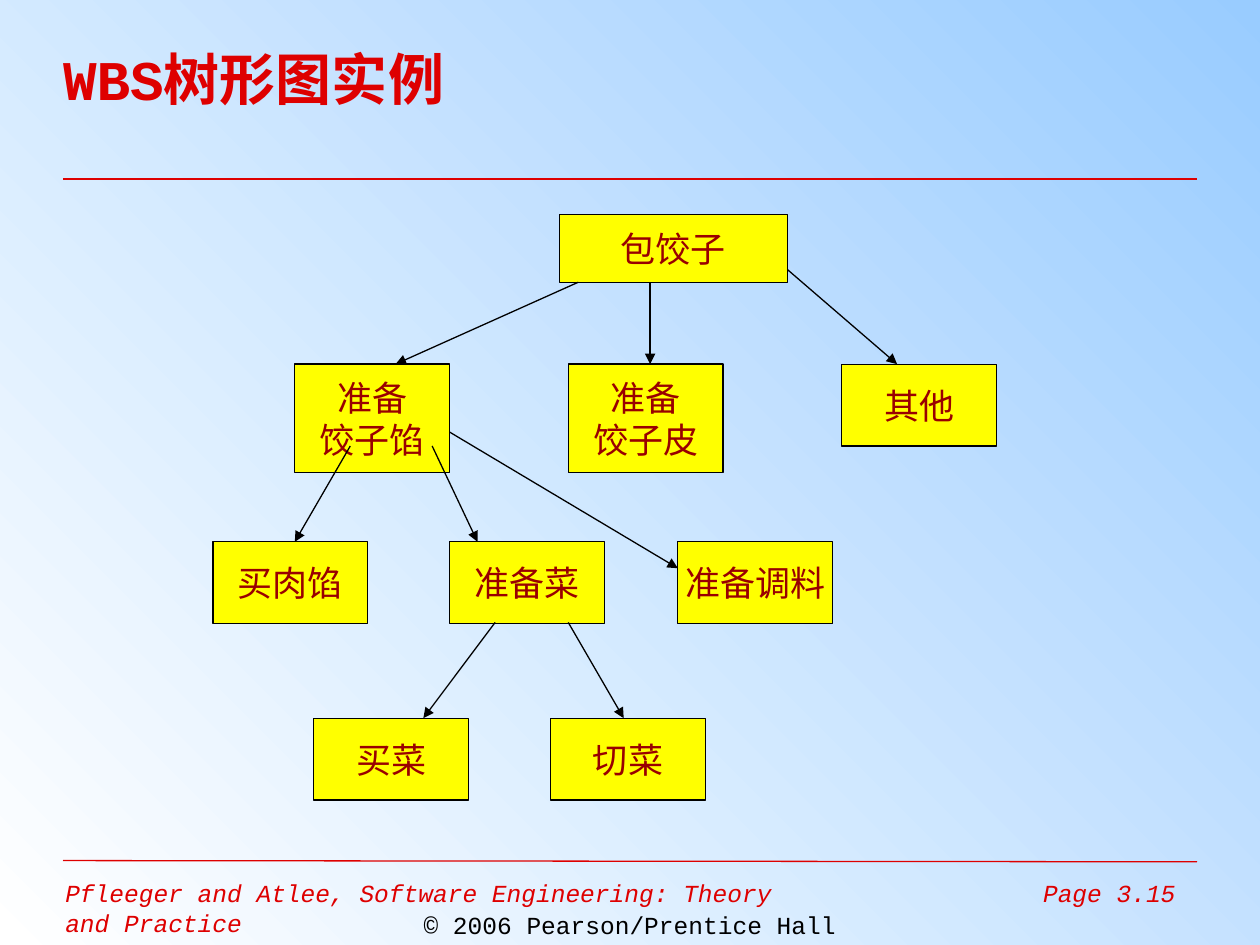
from pptx import Presentation
from pptx import util as u
from pptx.dml.color import RGBColor
from pptx.enum import shapes, text
from pptx.oxml.ns import qn
from lxml import etree

I = u.Inches
RED, BLACK = "DE0000", "000000"
MONO = "Courier New"


def paint(fmt, hue):
    if hasattr(fmt, "solid"):
        fmt.solid()
        fmt.fore_color.rgb = RGBColor.from_string(hue)
    else:
        fmt.rgb = RGBColor.from_string(hue)


def write(para, words, size, face, hue, side, bold=False, slant=False):
    para.alignment = side
    run = para.add_run()
    run.text = words
    font = run.font
    font.size, font.name = u.Pt(size), face
    font.bold, font.italic = bold, slant
    paint(font.color, hue)


LEFT, MID, RIGHT = text.PP_ALIGN.LEFT, text.PP_ALIGN.CENTER, text.PP_ALIGN.RIGHT

deck = Presentation()
deck.slide_width, deck.slide_height = I(10), I(7.5)
slide = deck.slides.add_slide(deck.slide_layouts[5])

back = slide.background.fill
back.gradient()
back.gradient_angle = 225
for stop, place, hue in zip(back.gradient_stops, (0, 1), ("99CCFF", "FFFFFF")):
    stop.position = place
    paint(stop.color, hue)

title = slide.shapes.title
title.left, title.top, title.width, title.height = I(0.5), I(0), I(9), I(1.24)
frame = title.text_frame
frame.margin_left = frame.margin_top = frame.margin_right = frame.margin_bottom = 0
frame.vertical_anchor = text.MSO_ANCHOR.MIDDLE
frame.auto_size = text.MSO_AUTO_SIZE.NONE
write(frame.paragraphs[0], "WBS树形图实例", 32, MONO, RED, LEFT, bold=True)

notes = [
    (0.42, 6.92, 6, 0.58, "Pfleeger and Atlee, Software Engineering: Theory and Practice", RED, LEFT, True),
    (7.83, 6.92, 1.6, 0.33, "Page 3.15", RED, RIGHT, True),
    (0, 7.17, 10, 0.33, "© 2006 Pearson/Prentice Hall", BLACK, MID, False),
]
for x, y, w, h, words, hue, side, slant in notes:
    frame = slide.shapes.add_textbox(I(x), I(y), I(w), I(h)).text_frame
    frame.word_wrap = True
    write(frame.paragraphs[0], words, 14, MONO, hue, side, slant=slant)

WIDE, LOW, TALL = 1.23, 0.65, 0.86
TOP, ROW1, ROW2, ROW3 = 1.7, 2.89, 4.3, 5.7
boxes = [
    (4.44, TOP, 1.81, 0.54, ["包饺子"]),
    (2.34, ROW1, WIDE, TALL, ["准备", "饺子馅"]),
    (4.51, ROW1, WIDE, TALL, ["准备", "饺子皮"]),
    (6.68, ROW1, WIDE, LOW, ["其他"]),
    (1.69, ROW2, WIDE, LOW, ["买肉馅"]),
    (3.57, ROW2, WIDE, LOW, ["准备菜"]),
    (5.38, ROW2, WIDE, LOW, ["准备调料"]),
    (2.49, ROW3, WIDE, LOW, ["买菜"]),
    (4.37, ROW3, WIDE, LOW, ["切菜"]),
]
for x, y, w, h, rows in boxes:
    box = slide.shapes.add_shape(shapes.MSO_SHAPE.RECTANGLE, I(x), I(y), I(w), I(h))
    box.shadow.inherit = False
    paint(box.fill, "FFFF00")
    paint(box.line.fill, BLACK)
    box.line.width = u.Pt(0.75)
    frame = box.text_frame
    frame.word_wrap = False
    frame.vertical_anchor = text.MSO_ANCHOR.MIDDLE
    for i, row in enumerate(rows):
        para = frame.add_paragraph() if i else frame.paragraphs[0]
        write(para, row, 20, "Times New Roman", "990000", MID)

rules = [(0.5, 1.42, 9.5, 1.42, RED, 1.5), (0.5, 6.83, 9.5, 6.84, RED, 0.75)]
arrows = [
    (4.59, 2.24, 3.14, ROW1),
    (5.16, 2.24, 5.16, ROW1),
    (6.25, 2.14, 7.12, ROW1),
    (2.78, 3.54, 2.34, ROW2),
    (3.43, 3.54, 3.79, ROW2),
    (3.57, 3.43, 5.38, 4.51),
    (3.93, 4.94, 3.36, ROW3),
    (4.51, 4.94, 4.95, ROW3),
]
for x1, y1, x2, y2, hue, thick in rules + [a + (BLACK, 0.75) for a in arrows]:
    line = slide.shapes.add_connector(
        shapes.MSO_CONNECTOR.STRAIGHT, I(x1), I(y1), I(x2), I(y2))
    paint(line.line.fill, hue)
    line.line.width = u.Pt(thick)
    if hue == BLACK:
        etree.SubElement(line.line._get_or_add_ln(), qn("a:tailEnd"), type="triangle")
    etree.SubElement(line._element.spPr, qn("a:effectLst"))

deck.save("out.pptx")
